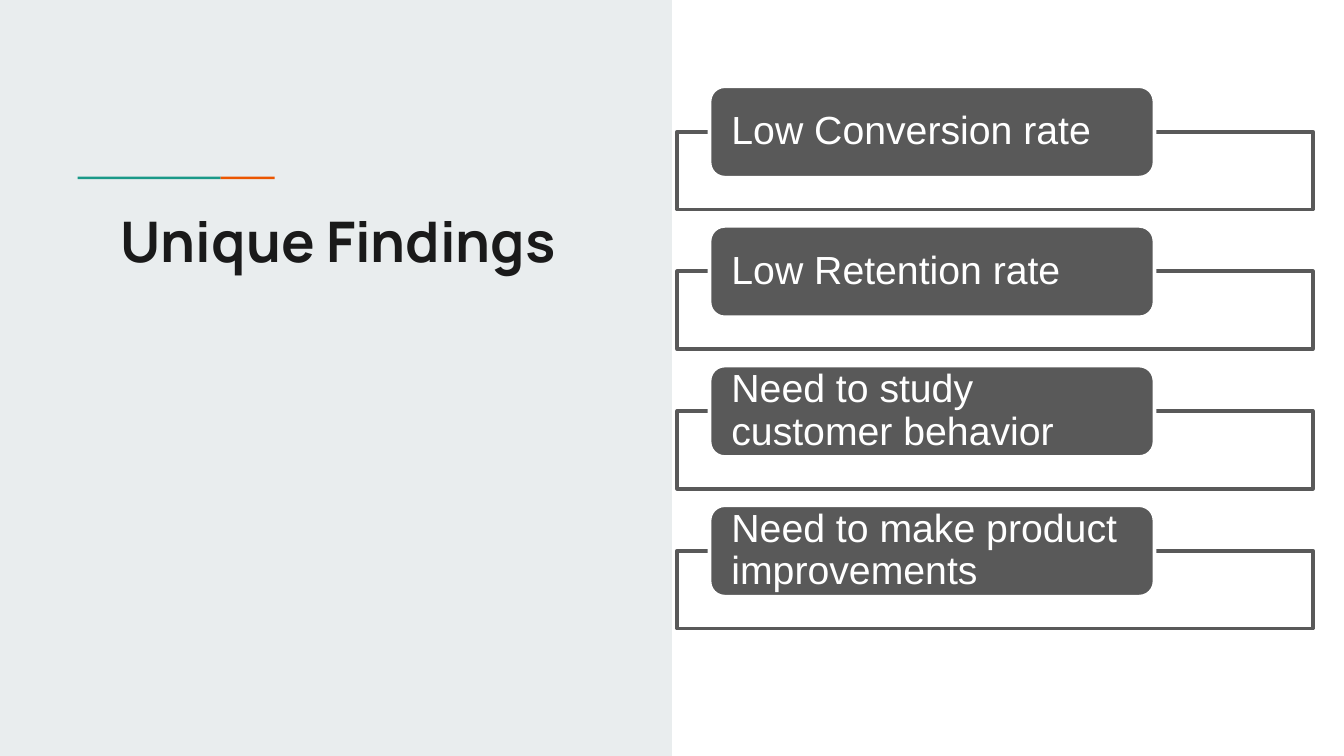
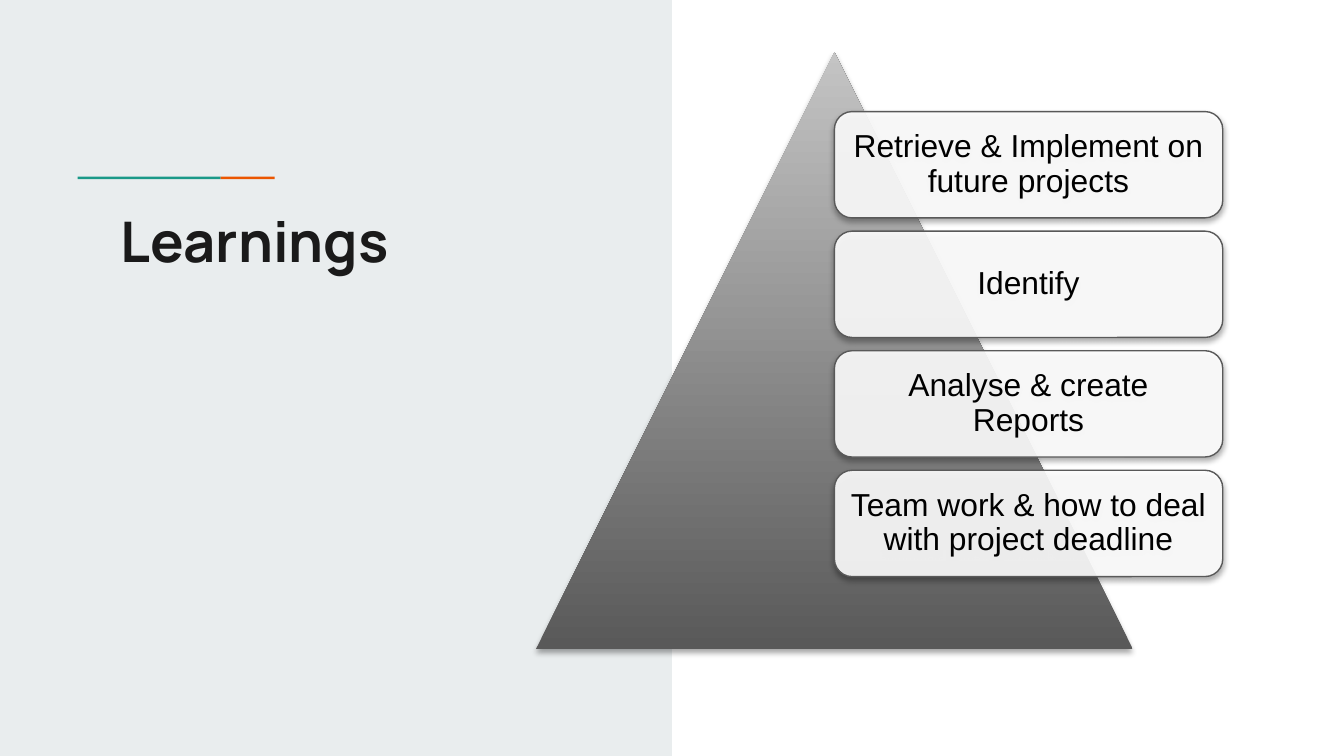
from lxml import etree
from pptx import Presentation
from pptx.dml.color import RGBColor
from pptx.enum.shapes import MSO_SHAPE
from pptx.enum.text import MSO_ANCHOR, MSO_AUTO_SIZE, PP_ALIGN
from pptx.oxml.ns import qn
from pptx.util import Cm, Pt

RECT = MSO_SHAPE.RECTANGLE
ROUND = MSO_SHAPE.ROUNDED_RECTANGLE
TRIANGLE = MSO_SHAPE.ISOSCELES_TRIANGLE
LEFT, CENTER = PP_ALIGN.LEFT, PP_ALIGN.CENTER
TOP, MIDDLE = MSO_ANCHOR.TOP, MSO_ANCHOR.MIDDLE
NO_AUTOFIT = MSO_AUTO_SIZE.NONE

WHITE = RGBColor(0xFF, 0xFF, 0xFF)
BLACK = RGBColor(0x00, 0x00, 0x00)
INK = RGBColor(0x1A, 0x1A, 0x1A)
PANEL = RGBColor(0xE9, 0xED, 0xEE)
TEAL = RGBColor(0x1A, 0x99, 0x88)
ORANGE = RGBColor(0xEB, 0x56, 0x00)
GREY = RGBColor(0x59, 0x59, 0x59)
SILVER = RGBColor(0xC4, 0xC4, 0xC4)

TITLE_FONT = {"name": "Manrope", "size": Pt(30), "bold": True}
FINDING_FONT = {"name": "Arial", "size": Pt(21), "bold": False}
LEARNING_FONT = {"name": "Arial", "size": Pt(17), "bold": False}

FINDINGS = [
    "Low Conversion rate",
    "Low Retention rate",
    "Need to study customer behavior",
    "Need to make product improvements",
]
LEARNINGS = [
    "Retrieve & Implement on future projects",
    "Identify",
    "Analyse & create Reports",
    "Team work & how to deal with project deadline",
]


class Deck:
    """Presentation style together with the slide being built."""

    def __init__(self):
        self.prs = Presentation()
        self.prs.slide_width = Cm(25.4)
        self.prs.slide_height = Cm(14.29)
        self.s = None

    def slide(self, title):
        self.s = self.prs.slides.add_slide(self.prs.slide_layouts[5])
        self.shape(RECT, (0, 0, 12.7, 14.29), PANEL)
        self.shape(RECT, (1.47, 3.34, 2.7, 0.05), TEAL)
        self.shape(RECT, (4.17, 3.34, 1.02, 0.05), ORANGE)
        sp = self.s.shapes.title
        self.s.shapes.element.append(sp.element)
        box = zip(("left", "top", "width", "height"), (2.03, 3.66, 9.17, 4.7))
        for name, value in box:
            setattr(sp, name, Cm(value))
        self.text(sp, title, TITLE_FONT, INK, (0.25, 0.25), LEFT, TOP)

    def shape(self, kind, box, fill, line=None, width=0, alpha=None, shadow=False):
        sp = self.s.shapes.add_shape(kind, *(Cm(v) for v in box))
        sp.shadow.inherit = False
        sp.fill.solid()
        sp.fill.fore_color.rgb = fill
        if alpha:
            self.alpha(sp.element.spPr.find(".//" + qn("a:srgbClr")), alpha)
        if line is None:
            sp.line.fill.background()
        else:
            sp.line.color.rgb = line
            sp.line.width = Pt(width)
        if shadow:
            self.drop_shadow(sp)
        return sp

    def alpha(self, color, percent):
        etree.SubElement(color, qn("a:alpha"), val=str(percent * 1000))

    def drop_shadow(self, sp):
        effects = sp.element.spPr.find(qn("a:effectLst"))
        shadow = etree.SubElement(
            effects, qn("a:outerShdw"), blurRad=str(Pt(3.1)), dist=str(Pt(1.8)),
            dir="5400000", rotWithShape="0")
        color = etree.SubElement(shadow, qn("a:srgbClr"), val=str(BLACK))
        self.alpha(color, 35)

    def gradient(self, sp, colors, angle):
        sp.fill.gradient()
        sp.fill.gradient_angle = angle
        for stop, color in zip(sp.fill.gradient_stops, colors):
            stop.color.rgb = color

    def text(self, sp, text, font, color, inset, align, anchor, spacing=1.0):
        tf = sp.text_frame
        x, y = (Cm(v) for v in inset)
        frame = {"word_wrap": True, "auto_size": NO_AUTOFIT,
                 "vertical_anchor": anchor, "margin_left": x, "margin_right": x,
                 "margin_top": y, "margin_bottom": y}
        for name, value in frame.items():
            setattr(tf, name, value)
        p = tf.paragraphs[0]
        p.alignment = align
        p.line_spacing = spacing
        r = p.add_run()
        r.text = text
        for name, value in font.items():
            setattr(r.font, name, value)
        r.font.color.rgb = color

    def finding(self, i, text):
        dy = 2.64 * i
        self.shape(RECT, (12.8, 2.49 + dy, 12.01, 1.47), WHITE, GREY, 2, alpha=90)
        sp = self.shape(ROUND, (13.41, 1.63 + dy, 8.41, 1.73), GREY, WHITE, 2)
        self.text(sp, text, FINDING_FONT, WHITE, (0.33, 0), LEFT, MIDDLE, 0.9)

    def learning(self, i, text):
        box = (15.77, 2.11 + 2.26 * i, 7.34, 2.01)
        sp = self.shape(ROUND, box, WHITE, GREY, 0.75, alpha=90, shadow=True)
        self.text(sp, text, LEARNING_FONT, BLACK, (0.18, 0.18), CENTER, MIDDLE, 0.9)

    def pyramid(self):
        sp = self.shape(TRIANGLE, (10.13, 0.99, 11.28, 11.28), GREY, shadow=True)
        self.gradient(sp, (GREY, SILVER), 90)


def main():
    deck = Deck()
    deck.slide("Unique Findings")
    for i, text in enumerate(FINDINGS):
        deck.finding(i, text)
    deck.slide("Learnings")
    deck.pyramid()
    for i, text in enumerate(LEARNINGS):
        deck.learning(i, text)
    deck.prs.save("out.pptx")


if __name__ == "__main__":
    main()
